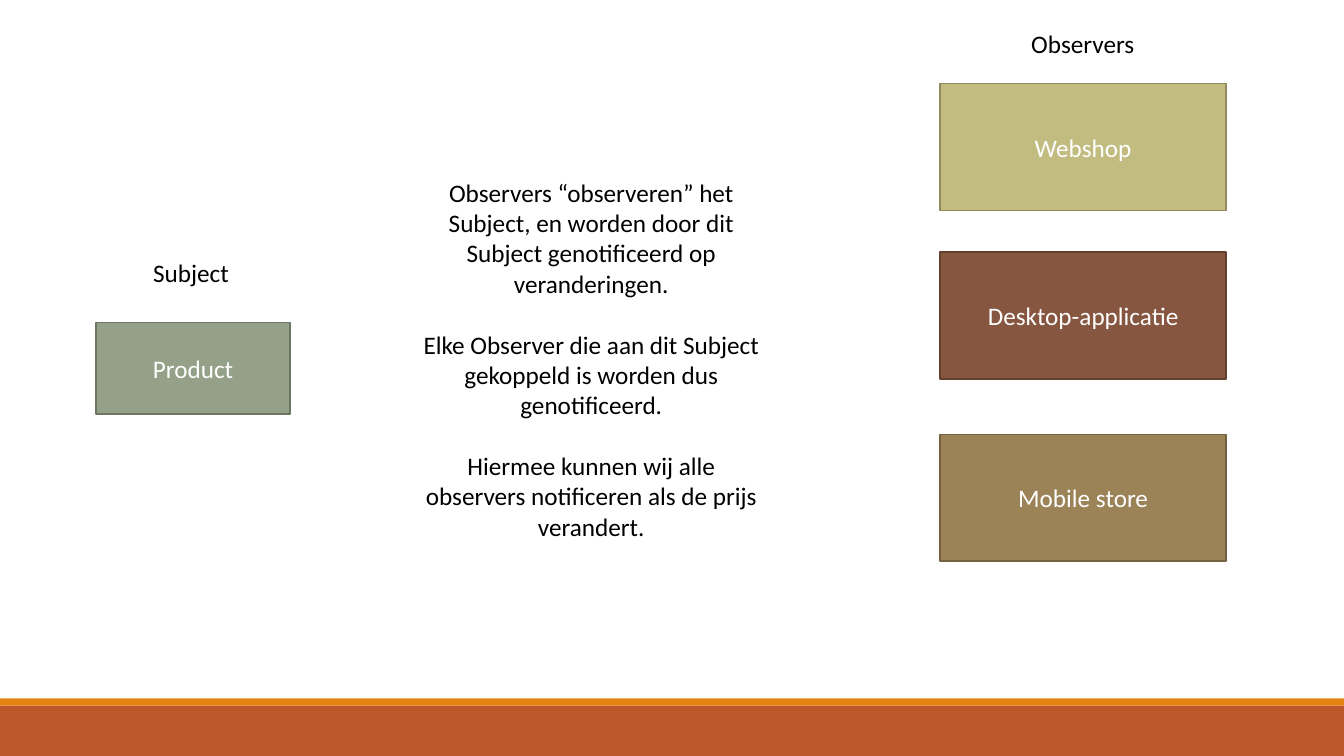
from collections import namedtuple

from pptx import Presentation
from pptx import util as u
from pptx.dml.color import RGBColor
from pptx.enum import shapes, text

# Grid: 133.3 columns by 75 rows
COLS, ROWS = 133.3, 75
COLORS = {
    "black": "000000", "white": "FFFFFF",
    "band": "BD582C", "stripe": "E48312",
    "product": "94A088", "product_line": "6D7665",
    "webshop": "C2BC80", "webshop_line": "908B5F",
    "desktop": "865640", "desktop_line": "63402F",
    "mobile": "9B8357", "mobile_line": "736140",
}
Box = namedtuple("Box", "x y w h")

prs = Presentation()
prs.slide_width, prs.slide_height = u.Inches(13.33), u.Inches(7.5)
s = prs.slides.add_slide(prs.slide_layouts[6])


def inside(box, x, y, w, h):
    """Box at an offset from the corner of another box."""
    return Box(box.x + x, box.y + y, w, h)


def emu(box):
    col, row = prs.slide_width / COLS, prs.slide_height / ROWS
    return [round(n) for n in (box.x * col, box.y * row, box.w * col, box.h * row)]


def color(name):
    return RGBColor.from_string(COLORS[name])


def write(tf, paragraphs, ink, align, gap=0):
    tf.word_wrap = True
    for i, words in enumerate(paragraphs):
        p = tf.add_paragraph() if i else tf.paragraphs[0]
        p.alignment = align
        p.space_before = u.Pt(gap if i else 0)
        r = p.add_run()
        r.text = words
        r.font.name, r.font.size = "Calibri", u.Pt(18)
        r.font.color.rgb = color(ink)


def rect(box, fill, line=None):
    sp = s.shapes.add_shape(shapes.MSO_SHAPE.RECTANGLE, *emu(box))
    sp.shadow.inherit = False
    sp.fill.solid()
    sp.fill.fore_color.rgb = color(fill)
    if line:
        sp.line.color.rgb = color(line)
        sp.line.width = u.Pt(1.25)
    else:
        sp.line.fill.background()
    return sp


def card(box, words, name):
    tf = rect(box, name, name + "_line").text_frame
    tf.vertical_anchor = text.MSO_ANCHOR.MIDDLE
    write(tf, [words], "white", text.PP_ALIGN.CENTER)


def label(box, paragraphs, align=text.PP_ALIGN.LEFT, gap=0, wrap=True):
    tf = s.shapes.add_textbox(*emu(box)).text_frame
    write(tf, paragraphs, "black", align, gap)
    tf.word_wrap = wrap


# Bands along the bottom edge
def footer(box):
    rect(inside(box, 0, 0.7, box.w, box.h - 0.7), "band")
    rect(inside(box, 0, 0, box.w, 0.7), "stripe")


# Subject with its caption
def subject(box):
    card(inside(box, 0, 7, box.w, 9.1), "Product", "product")
    label(inside(box, 4.7, 0, 9.9, 4), ["Subject"])


# Column of observers under its caption
def observers(box):
    label(inside(box, 8.05, 0, 12.3, 4), ["Observers"], wrap=False)
    cards = [(6, "Webshop", "webshop"),
             (22.7, "Desktop-applicatie", "desktop"),
             (40.8, "Mobile store", "mobile")]
    for top, words, name in cards:
        card(inside(box, 0, top, box.w, 12.6), words, name)


# Explanation in the middle
def explanation(box):
    label(box, [
        "Observers “observeren” het Subject, en worden door dit Subject "
        "genotificeerd op veranderingen.",
        "Elke Observer die aan dit Subject gekoppeld is worden dus genotificeerd.",
        "Hiermee kunnen wij alle observers notificeren als de prijs verandert.",
    ], text.PP_ALIGN.CENTER, gap=22)


footer(Box(0, 69.3, COLS, 5.7))
subject(Box(9.5, 25, 19.3, 16.1))
observers(Box(93.25, 2.3, 28.35, 53.4))
explanation(Box(41, 17.1, 35.3, 37.4))

prs.save("out.pptx")
